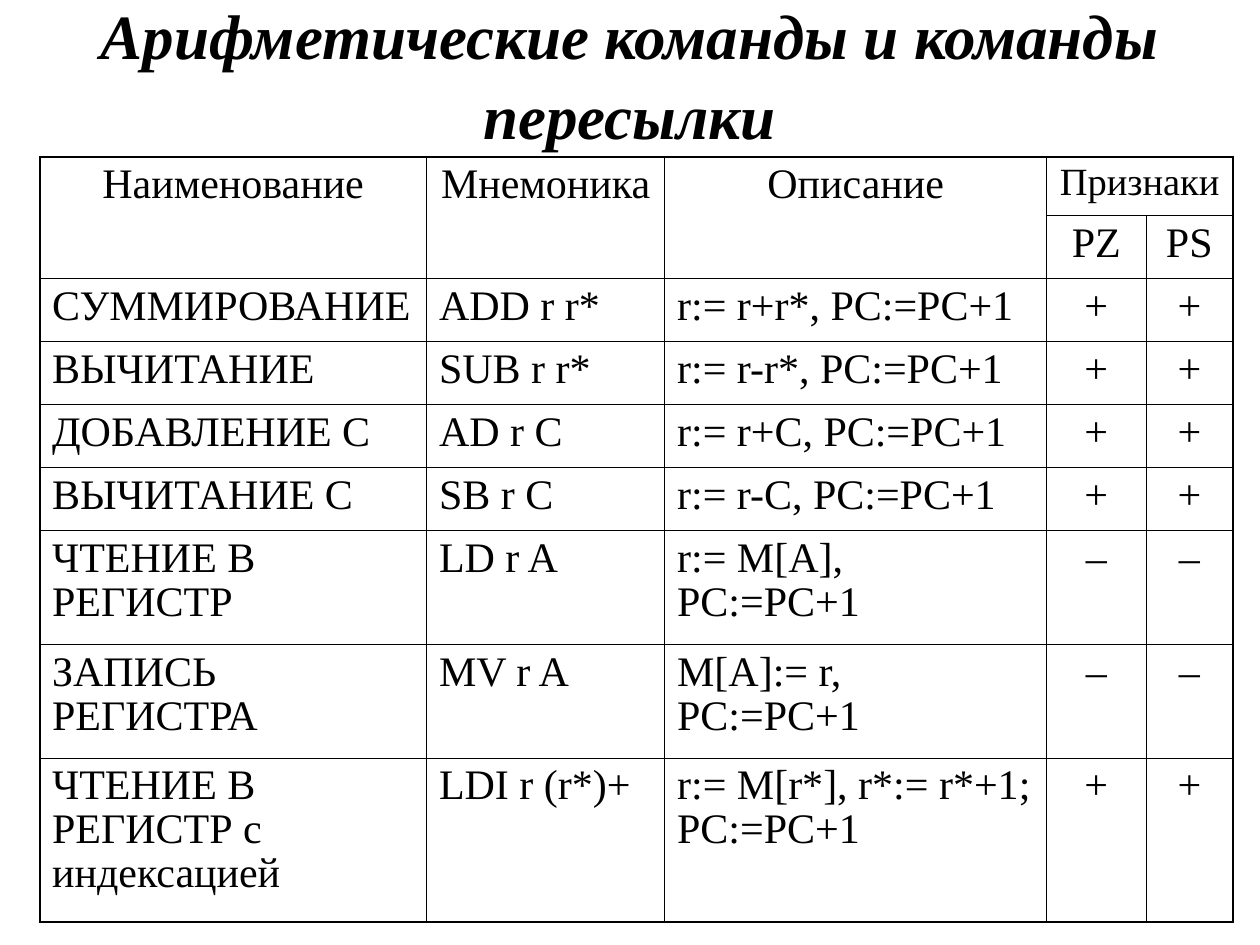
import pptx
import pptx.dml.color
import pptx.enum.text
import pptx.oxml.ns
import pptx.util
from lxml import etree
from pptx.util import Cm, Pt

BLACK = pptx.dml.color.RGBColor(0x00, 0x00, 0x00)
FONT = "Times New Roman"
OUTER_LINE, INNER_LINE = Pt(1.08), Pt(0.45)
CENTER = pptx.enum.text.PP_ALIGN.CENTER
LEFT = pptx.enum.text.PP_ALIGN.LEFT

COLUMN_WIDTHS = [7.8, 4.8, 7.7, 2, 1.75]
ROW_HEIGHTS = [1.19] + [1.27] * 5 + [2.29, 2.29, 3.3]
ROWS = [
    ["Наименование", "Мнемоника", "Описание", "Признаки", ""],
    ["", "", "", "PZ", "PS"],
    ["СУММИРОВАНИЕ", "ADD r r*", "r:= r+r*, PC:=PC+1", "+", "+"],
    ["ВЫЧИТАНИЕ", "SUB r r*", "r:= r-r*, PC:=PC+1", "+", "+"],
    ["ДОБАВЛЕНИЕ С", "AD r C", "r:= r+C, PC:=PC+1", "+", "+"],
    ["ВЫЧИТАНИЕ С", "SB r C", "r:= r-C, PC:=PC+1", "+", "+"],
    ["ЧТЕНИЕ В РЕГИСТР", "LD r A", "r:= M[A], PC:=PC+1", "–", "–"],
    ["ЗАПИСЬ РЕГИСТРА", "MV r A", "M[A]:= r, PC:=PC+1", "–", "–"],
    ["ЧТЕНИЕ В РЕГИСТР с индексацией", "LDI r (r*)+",
     "r:= M[r*], r*:= r*+1;\nPC:=PC+1", "+", "+"],
]


def format_text(frame, size, alignment, spacing):
    frame.word_wrap = True
    frame.margin_left = frame.margin_right = Cm(0.25)
    frame.margin_top = frame.margin_bottom = Cm(0.13)
    for para in frame.paragraphs:
        para.alignment = alignment
        para.line_spacing = spacing
        for span in para.runs:
            span.font.name = FONT
            span.font.size = Pt(size)
            span.font.color.rgb = BLACK


def add_borders(cell, widths):
    """Draw the left, right, top and bottom borders of a cell, in that order."""
    properties = cell._tc.get_or_add_tcPr()
    for side, width in zip(("lnL", "lnR", "lnT", "lnB"), widths):
        line = etree.SubElement(properties, pptx.oxml.ns.qn(f"a:{side}"), w=str(width))
        fill = etree.SubElement(line, pptx.oxml.ns.qn("a:solidFill"))
        etree.SubElement(fill, pptx.oxml.ns.qn("a:srgbClr"), val=str(BLACK))


deck = pptx.Presentation()
deck.slide_width, deck.slide_height = Cm(25.4), Cm(19.05)
page = deck.slides.add_slide(deck.slide_layouts[6])

# Table of commands
row_count, column_count = len(ROW_HEIGHTS), len(COLUMN_WIDTHS)
table = page.shapes.add_table(
    row_count, column_count, Cm(0.8), Cm(3.16),
    Cm(sum(COLUMN_WIDTHS)), Cm(sum(ROW_HEIGHTS))).table
table.first_row = table.horz_banding = False
for column, width in zip(table.columns, COLUMN_WIDTHS):
    column.width = Cm(width)
for row, height in zip(table.rows, ROW_HEIGHTS):
    row.height = Cm(height)

for c in range(3):
    table.cell(0, c).merge(table.cell(1, c))
table.cell(0, 3).merge(table.cell(0, 4))

for r, texts in enumerate(ROWS):
    for c, text in enumerate(texts):
        cell = table.cell(r, c)
        right = c + (cell.span_width if cell.is_merge_origin else 1)
        at_edge = (c == 0, right == column_count, r == 0, r == row_count - 1)
        add_borders(cell, [OUTER_LINE if edge else INNER_LINE for edge in at_edge])
        cell.fill.background()
        if cell.is_spanned:
            continue
        cell.text_frame.text = text
        cell.margin_left = cell.margin_right = Cm(0.25)
        cell.margin_top = cell.margin_bottom = Cm(0.13)
        format_text(cell.text_frame, 22 if text == "Признаки" else 24,
                    CENTER if r < 2 or c > 2 else LEFT, 0.95)

# Title
title = page.shapes.add_textbox(Cm(0.69), Cm(0.1), Cm(24), Cm(2.72))
title.text_frame.text = "Арифметические команды и команды пересылки"
title.text_frame.vertical_anchor = pptx.enum.text.MSO_ANCHOR.MIDDLE
format_text(title.text_frame, 36, CENTER, 1.06)
title_font = title.text_frame.paragraphs[0].runs[0].font
title_font.bold = title_font.italic = True

deck.save("out.pptx")
